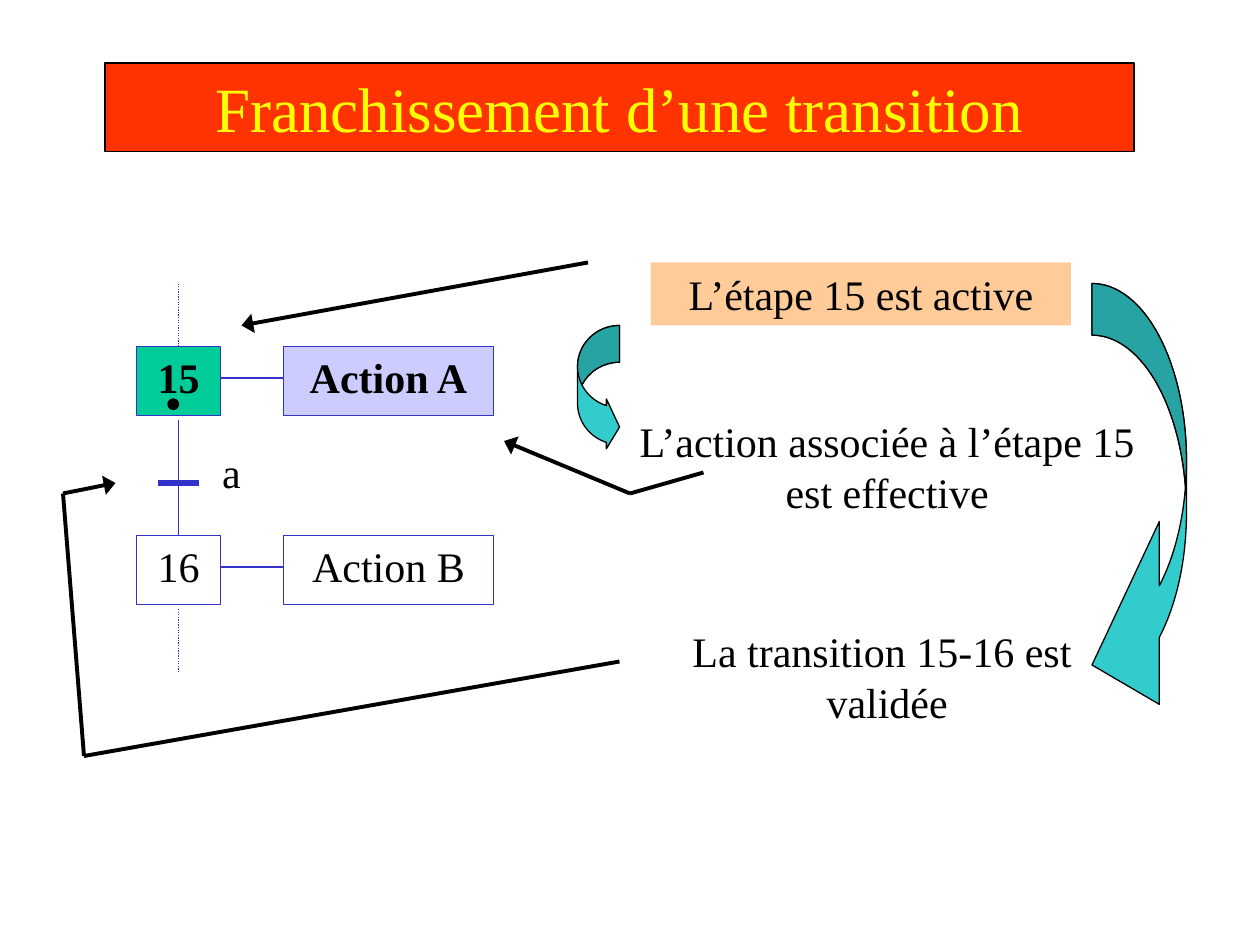
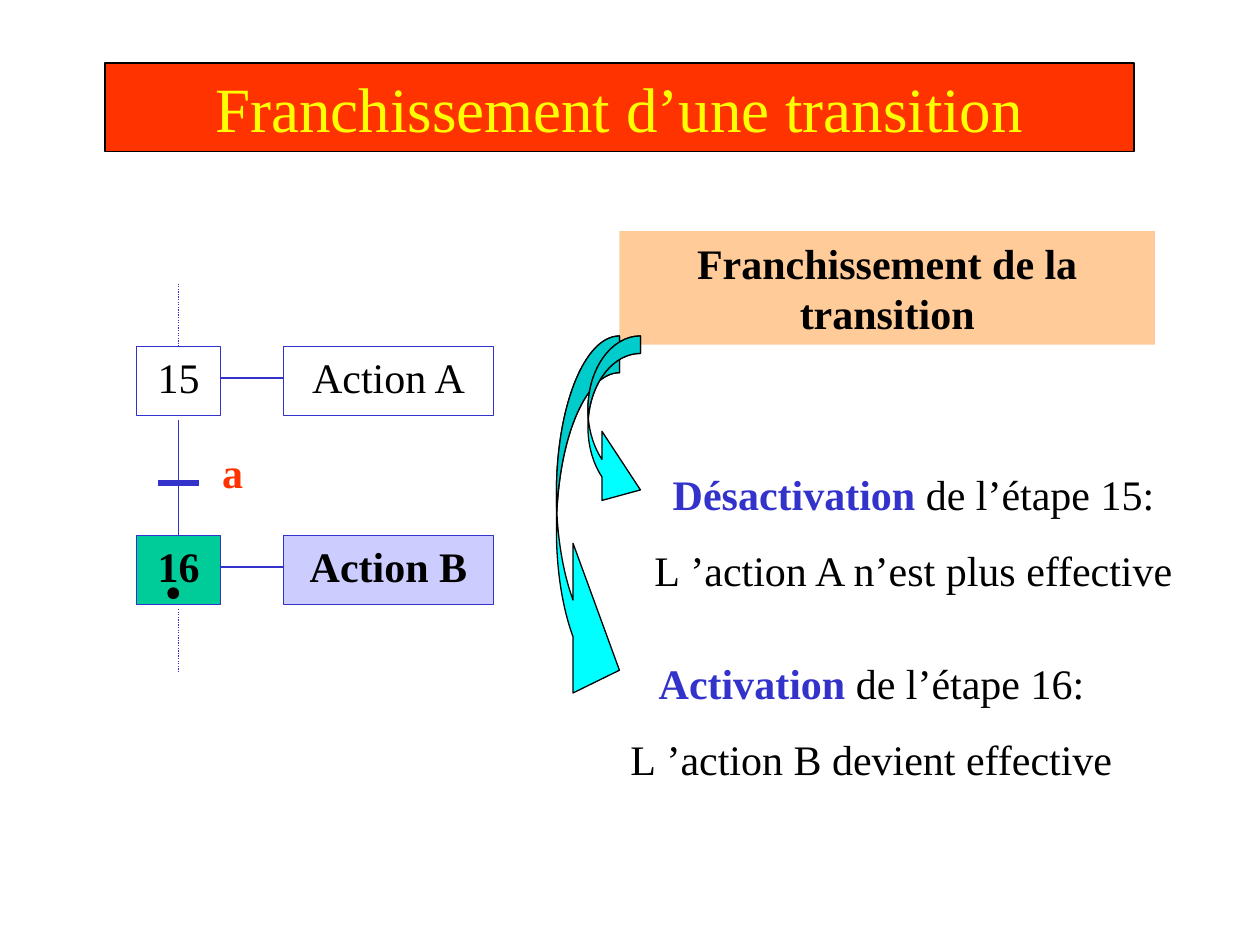
import math

import lxml.etree
import pptx
import pptx.dml.color
import pptx.enum.dml
import pptx.enum.shapes
import pptx.enum.text
import pptx.oxml.ns
import pptx.util

PX = 914400 // 144
FONT = "Times New Roman"
BLACK, BLUE, RED, YELLOW = "000000", "3333CC", "FF3300", "FFFF00"
GREEN, LILAC, PEACH, TEAL, CYAN = "00CC99", "CCCCFF", "FFCC99", "33CCCC", "00FFFF"
RECTANGLE = pptx.enum.shapes.MSO_SHAPE.RECTANGLE
OVAL = pptx.enum.shapes.MSO_SHAPE.OVAL
CENTER = pptx.enum.text.PP_ALIGN.CENTER
LEFT = pptx.enum.text.PP_ALIGN.LEFT
qn = pptx.oxml.ns.qn


def rgb(value):
    return pptx.dml.color.RGBColor.from_string(value)


def paint(shape, fill=None, line=None):
    shape.shadow.inherit = False
    if fill:
        shape.fill.solid()
        shape.fill.fore_color.rgb = rgb(fill)
    else:
        shape.fill.background()
    if line:
        shape.line.color.rgb = rgb(line)
        shape.line.width = pptx.util.Pt(0.75)
    else:
        shape.line.fill.background()
    return shape


def add_box(slide, box, kind=RECTANGLE, fill=None, line=None):
    return paint(slide.shapes.add_shape(kind, *(n * PX for n in box)), fill, line)


def add_run(paragraph, text, size=24, color=BLACK, bold=False):
    run = paragraph.add_run()
    run.text = text
    run.font.name = FONT
    run.font.size = pptx.util.Pt(size)
    run.font.bold = bold
    run.font.color.rgb = rgb(color)


def write(slide, box, text, fill=None, line=None, align=CENTER, top=7, bottom=7,
          before=15, **font):
    if fill or line:
        holder = add_box(slide, box, fill=fill, line=line)
    else:
        holder = slide.shapes.add_textbox(*(n * PX for n in box))
    frame = holder.text_frame
    frame.word_wrap = True
    frame.vertical_anchor = pptx.enum.text.MSO_ANCHOR.TOP
    frame.margin_left = frame.margin_right = 14 * PX
    frame.margin_top, frame.margin_bottom = top * PX, bottom * PX
    paragraphs = [[(text, font)]] if isinstance(text, str) else text
    for index, runs in enumerate(paragraphs):
        paragraph = frame.paragraphs[0] if index == 0 else frame.add_paragraph()
        paragraph.alignment = align
        paragraph.space_before = pptx.util.Pt(before)
        for words, style in runs:
            add_run(paragraph, words, **style)


def add_line(slide, start, end, color=BLUE, width=0.75, dotted=False, arrow=False):
    line = slide.shapes.add_connector(
        pptx.enum.shapes.MSO_CONNECTOR.STRAIGHT, *(n * PX for n in (*start, *end)))
    line.line.color.rgb = rgb(color)
    line.line.width = pptx.util.Pt(width)
    if dotted:
        line.line.dash_style = pptx.enum.dml.MSO_LINE.ROUND_DOT
    if arrow:
        lxml.etree.SubElement(line.line._get_or_add_ln(), qn("a:tailEnd"),
                              type="triangle", w="lg", len="med")
    lxml.etree.SubElement(line._element.spPr, qn("a:effectLst"))


def add_pointer(slide, points, arrow=True):
    last = len(points) - 2
    for index, (start, end) in enumerate(zip(points, points[1:])):
        add_line(slide, start, end, BLACK, 2.25, arrow=arrow and index == last)


def add_curved_outline(slide, box, paths, fill):
    left, top, width, height = (n * PX for n in box)
    builder = slide.shapes.build_freeform(left, top, scale=1.0)
    builder.add_line_segments([(left + width, top), (left + width, top + height)])
    outline = paint(builder.convert_to_shape(), fill, BLACK)
    path_list = outline._element.spPr.find(qn("a:custGeom")).find(qn("a:pathLst"))
    path_list.clear()
    for shade, steps in paths:
        path = lxml.etree.SubElement(path_list, qn("a:path"),
                                     w=str(width), h=str(height), fill=shade)
        for command, points in steps:
            step = lxml.etree.SubElement(path, qn("a:" + command))
            for x, y in points:
                lxml.etree.SubElement(step, qn("a:pt"), x=str(round(x * PX - left)),
                                      y=str(round(y * PX - top)))


def add_ribbon_arrow(slide, axis, top, reach, height, radius, band, head, fill):
    head_x, head_top, tip, head_bottom = head
    upper, lower = top + radius, top + radius + band
    quarter = math.pi / 2

    def arc(center, start, end):
        pull = 4 / 3 * math.tan((end - start) / 4)

        def spot(angle, bend):
            return (axis + reach * (math.cos(angle) - bend * math.sin(angle)),
                    center + radius * (math.sin(angle) + bend * math.cos(angle)))

        return "cubicBezTo", [spot(start, pull), spot(end, -pull), spot(end, 0)]

    def line(x, y):
        return "lnTo", [(x, y)]

    cosine = (head_x - axis) / reach
    neck, crossing = math.acos(cosine), math.asin(band / 2 / radius)
    start = ("moveTo", [(axis, top)])
    bend = arc(upper, -quarter, 0)
    inner = arc(lower, -crossing, -quarter)
    close = ("close", [])
    whole = [start, bend, line(axis + reach, lower), arc(lower, 0, neck),
             line(head_x, head_bottom), line(axis, tip), line(head_x, head_top),
             line(head_x, upper + radius * math.sin(neck)),
             arc(upper, neck, crossing), inner, close]
    fold = [start, bend, arc(upper, 0, crossing), inner, close]
    box = (min(axis, axis + reach), top, abs(reach), height)
    add_curved_outline(slide, box, [("norm", whole), ("darkenLess", fold)], fill)


def add_title(slide):
    write(slide, (120, 72, 1176, 101), "Franchissement d’une transition",
          fill=RED, line=BLACK, before=22.5, size=36, color=YELLOW)


def add_grafcet(slide, left, top, active, condition):
    axis, bar = left + 48, top + 228
    steps = {"15": ("Action A", top + 72), "16": ("Action B", top + 288)}
    for start, end, dotted in ((0, 72, True), (156, 288, False), (372, 444, True)):
        add_line(slide, (axis, top + start), (axis, top + end), dotted=dotted)
    add_line(slide, (axis - 24, bar), (axis + 24, bar), width=3)
    for step, (action, y) in steps.items():
        on = step == active
        add_line(slide, (left + 96, y + 36), (left + 168, y + 36))
        for x, width, label, fill in ((0, 96, step, GREEN), (168, 240, action, LILAC)):
            write(slide, (left + x, y, width, 79), label, fill=fill if on else None,
                  line=BLUE, top=6, bottom=16, bold=on)
    write(slide, (left + 84, top + 180, 72, 79), "a", align=LEFT, top=6, bottom=16, **condition)
    add_box(slide, (left + 36, steps[active][1] + 60, 12, 12), OVAL, BLACK, BLACK)


def add_validation(slide, left, top):
    write(slide, (left + 36, top, 480, 72), "L’étape 15 est active", fill=PEACH)
    write(slide, (left, top + 168, 612, 130), "L’action associée à l’étape 15 est effective")
    write(slide, (left, top + 408, 612, 130), "La transition 15-16 est  validée")
    add_pointer(slide, [(left - 36, top), (276, top + 72)])
    add_pointer(slide, [(left + 96, top + 240), (left + 12, top + 264), (576, top + 204)])
    add_pointer(slide, [(left, top + 456), (96, top + 564), (72, top + 264), (132, top + 252)])
    add_ribbon_arrow(slide, left + 540, top + 24, 108, 540, 203, 59,
                     (left + 617, top + 296, top + 460, top + 505), TEAL)
    add_ribbon_arrow(slide, left, top + 72, -48, 144, 47, 42,
                     (left - 15, top + 156, top + 188, top + 213), TEAL)


def add_crossing(slide, left, top):
    write(slide, (left, top, 612, 130), "Franchissement de la transition", fill=PEACH, bold=True)
    effects = (
        (-60, 480, "Activation ", "de l’étape 16:", "L\u00a0’action B devient effective"),
        (-12, 264, "Désactivation", " de l’étape 15:", "L\u00a0’action A n’est plus effective"),
    )
    for x, y, event, step, result in effects:
        write(slide, (left + x, top + y, 696, 160),
              [[(event, {"color": BLUE, "bold": True}), (step, {})], [(result, {})]])
    add_ribbon_arrow(slide, left, top + 120, -72, 468, 180, 42,
                     (left - 53, top + 357, top + 502, top + 528), CYAN)
    add_ribbon_arrow(slide, left + 24, top + 120, -60, 216, 84, 20,
                     (left - 20, top + 229, top + 296, top + 308), CYAN)


def main():
    deck = pptx.Presentation()
    deck.slide_width, deck.slide_height = 1440 * PX, 1080 * PX
    pages = (
        ("15", {}, add_validation, (708, 300)),
        ("16", {"color": RED, "bold": True}, add_crossing, (708, 264)),
    )
    for active, condition, add_explanation, corner in pages:
        slide = deck.slides.add_slide(deck.slide_layouts[6])
        add_title(slide)
        add_grafcet(slide, 156, 324, active, condition)
        add_explanation(slide, *corner)
    deck.save("out.pptx")


if __name__ == "__main__":
    main()
